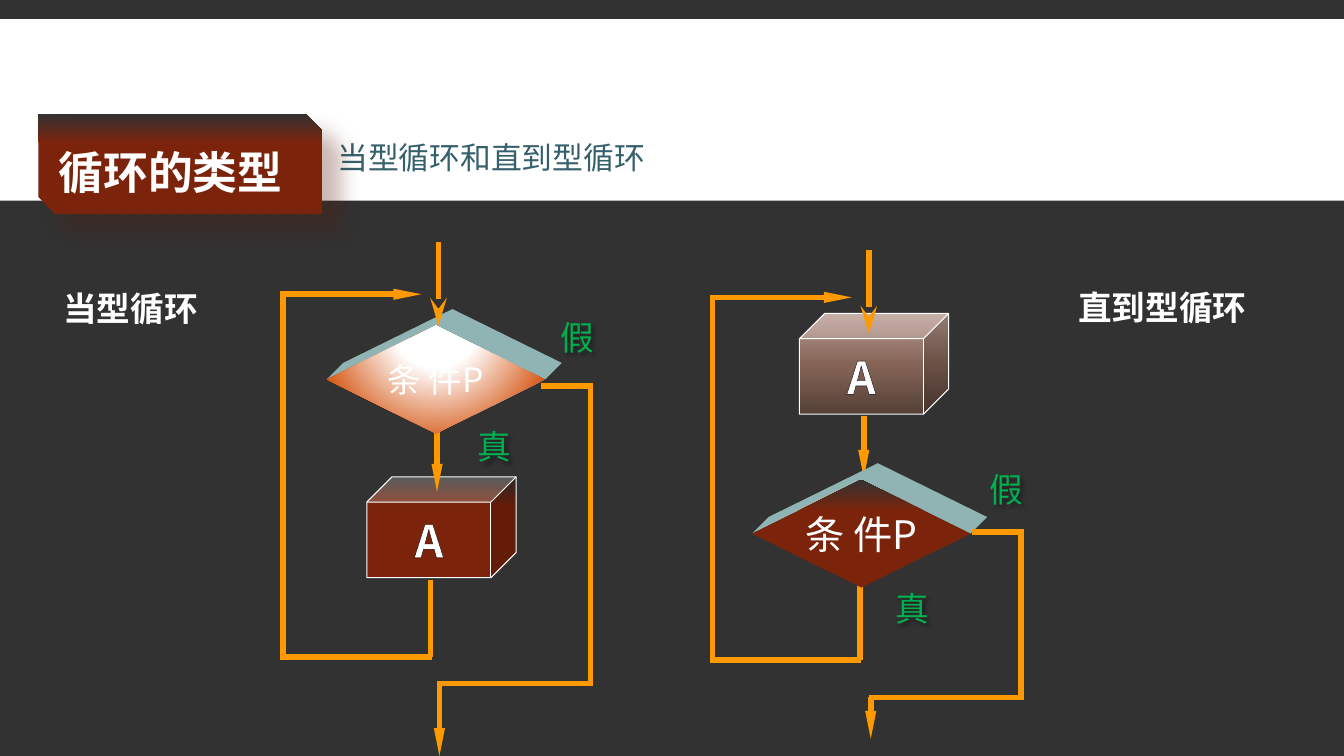
from lxml import etree
from pptx import Presentation
from pptx.dml.color import RGBColor
from pptx.enum.shapes import MSO_CONNECTOR, MSO_SHAPE
from pptx.enum.text import MSO_ANCHOR, MSO_AUTO_SIZE, PP_ALIGN
from pptx.oxml.ns import qn
from pptx.util import Pt

COLORS = {
    "dark": "323232", "white": "FFFFFF", "black": "000000", "teal": "36606C",
    "side": "90B4B4", "line": "FF9900", "green": "00B050", "rust": "7C240B",
    "orange": "D55816", "shade": "521808",
    "brown": "554037", "tan": "846356", "sand": "B89C91",
}
CJK = "Noto Sans CJK SC"
RUST = [(0, "rust"), (71, "rust"), (100, "dark")]
EARTH = [(0, "brown"), (48, "tan"), (100, "sand")]
GLOW = [(0, "white"), (35, "white"), (100, "orange")]


def rgb(name):
    return RGBColor.from_string(COLORS[name])


def child(parent, tag, **attrs):
    el = etree.SubElement(parent, qn(tag))
    for key, value in attrs.items():
        el.set(key, str(value))
    return el


def set_text(sp, text, size, color, font=CJK, bold=False, align=PP_ALIGN.LEFT):
    tf = sp.text_frame
    tf.text = text
    p = tf.paragraphs[0]
    p.alignment = align
    r = p.runs[0]
    r.font.size = Pt(size)
    r.font.bold = bold
    r.font.name = font
    r.font.color.rgb = rgb(color)
    child(r.font._element, "a:ea", typeface=CJK)
    return p


def add_shadow(sp, color, alpha, blur, dist):
    sp.shadow.inherit = False
    effects = sp.element.spPr.find(qn("a:effectLst"))
    outer = child(effects, "a:outerShdw", blurRad=Pt(blur), dist=Pt(dist),
                  dir=45 * 60000, algn="tl", rotWithShape=0)
    clr = child(outer, "a:srgbClr", val=COLORS[color])
    child(clr, "a:alpha", val=alpha * 1000)


def fill_gradient(sp, stops, radial=False):
    sp.fill.gradient()
    grad = sp.element.spPr.find(qn("a:gradFill"))
    for el in list(grad):
        grad.remove(el)
    stop_list = child(grad, "a:gsLst")
    for pos, color in stops:
        stop = child(stop_list, "a:gs", pos=pos * 1000)
        child(stop, "a:srgbClr", val=COLORS[color])
    if radial:
        way = child(grad, "a:path", path="circle")
        child(way, "a:fillToRect", l=50000, t=-80000, r=50000, b=180000)
    else:
        child(grad, "a:lin", ang=270 * 60000, scaled=0)


def add_block(s, kind, left, top, width, height):
    sp = s.shapes.add_shape(kind, Pt(left), Pt(top), Pt(width), Pt(height))
    sp.shadow.inherit = False
    sp.line.fill.background()
    sp.text_frame.word_wrap = False
    sp.text_frame.vertical_anchor = MSO_ANCHOR.MIDDLE
    return sp


def add_label(s, text, left, top, width, size, color, font=CJK, bold=False):
    sp = s.shapes.add_textbox(Pt(left), Pt(top), Pt(width), Pt(36.5))
    sp.text_frame.word_wrap = True
    sp.text_frame.auto_size = MSO_AUTO_SIZE.NONE
    return sp, set_text(sp, text, size, color, font, bold)


def add_branch(s, text, left, top):
    sp, _ = add_label(s, text, left, top, 48, 24, "green")
    add_shadow(sp, "black", 40, 3, 3)


def add_line(s, x1, y1, x2, y2, head=None, width="sm"):
    c = s.shapes.add_connector(MSO_CONNECTOR.STRAIGHT, Pt(x1), Pt(y1), Pt(x2), Pt(y2))
    c.line.color.rgb = rgb("line")
    c.line.width = Pt(4)
    if head:
        child(c.line._get_or_add_ln(), "a:tailEnd", type=head, w=width, len="lg")
    child(c.element.spPr, "a:effectLst")


def add_loop_back(s, x, top, exit_x, exit_top, bottom, tip):
    add_line(s, exit_x, exit_top, exit_x, bottom)
    add_line(s, exit_x + 1, bottom, x - 2, bottom)
    add_line(s, x, bottom - 2, x, top)
    add_line(s, x - 2, top, tip, top, "triangle")


def add_way_out(s, start, top, right, bottom, x, tip):
    add_line(s, start, top, right, top)
    add_line(s, right, top - 2, right, bottom + 1.5)
    add_line(s, right, bottom, x - 1.5, bottom)
    add_line(s, x, bottom, x, tip, "triangle")


def add_cube(s, left, top, stops):
    sp = add_block(s, MSO_SHAPE.CUBE, left, top, 106.6, 72)
    fill_gradient(sp, stops)
    sp.line.color.rgb = rgb("white")
    sp.line.width = Pt(0.75)
    p = set_text(sp, "A", 32, "white", bold=True, align=PP_ALIGN.CENTER)
    outline = etree.Element(qn("a:ln"), w=str(Pt(0.75)))
    child(child(outline, "a:solidFill"), "a:srgbClr", val=COLORS["black"])
    p.runs[0].font._element.insert(0, outline)


def add_condition(s, left, top, size, stops, radial=False):
    width, height, depth = 156.2, 77, 11.8
    mid_x, right, mid_y = left + width / 2, left + width, top + height / 2
    fb = s.shapes.build_freeform(Pt(left), Pt(mid_y))
    fb.add_line_segments([(Pt(x), Pt(y)) for x, y in (
        (left + depth, mid_y - depth), (mid_x + depth, top - depth),
        (right + depth, mid_y - depth), (right, mid_y), (mid_x, top))])
    side = fb.convert_to_shape()
    side.shadow.inherit = False
    side.fill.solid()
    side.fill.fore_color.rgb = rgb("side")
    side.line.fill.background()
    sp = add_block(s, MSO_SHAPE.DIAMOND, left, top, width, height)
    fill_gradient(sp, stops, radial)
    set_text(sp, "条 件P", size, "white", align=PP_ALIGN.CENTER)


def add_header(s):
    band = add_block(s, MSO_SHAPE.RECTANGLE, 0, 13.7, 960, 129.6)
    band.fill.solid()
    band.fill.fore_color.rgb = rgb("white")
    _, p = add_label(s, "当型循环和直到型循环", 234, 98.6, 324, 22, "teal", "Arial")
    p.line_spacing = 0.9
    box = (27.4, 81.4, 203, 71.3)
    tab = add_block(s, MSO_SHAPE.SNIP_2_DIAG_RECTANGLE, *box)
    fill_gradient(tab, RUST)
    add_shadow(tab, "shade", 30, 15, 18)
    title = s.shapes.title
    title.left, title.top, title.width, title.height = map(Pt, box)
    tf = title.text_frame
    tf.margin_left, tf.margin_right = Pt(14.4), Pt(0)
    tf.vertical_anchor = MSO_ANCHOR.MIDDLE
    tf.auto_size = MSO_AUTO_SIZE.NONE
    set_text(title, "循环的类型", 32, "white", "Calibri", True).line_spacing = 1.3
    title.element.getparent().append(title.element)


def add_while_loop(s):
    add_label(s, "当型循环", 38.2, 202.3, 131, 24, "white", "Arial", True)
    add_loop_back(s, 202.3, 210.2, 307.4, 414, 469.4, 301)
    add_cube(s, 262.1, 340.6, RUST)
    add_line(s, 312.2, 307.4, 312.2, 351.4, "triangle")
    add_condition(s, 233.3, 232.6, 24, GLOW, True)
    add_line(s, 313.2, 172.8, 313.2, 232.6, "stealth", "med")
    add_way_out(s, 386.6, 275.8, 421.9, 488.2, 313.9, 540)
    add_branch(s, "真", 334.1, 301)
    add_branch(s, "假", 393.1, 222.5)


def add_until_loop(s):
    add_label(s, "直到型循环", 763.2, 201.6, 138, 24, "white", "Arial", True)
    add_line(s, 617, 297.4, 617, 341.3, "triangle")
    add_cube(s, 571, 223.9, EARTH)
    add_loop_back(s, 509, 212.4, 614.2, 416.2, 471.6, 608.4)
    add_condition(s, 537.1, 342.7, 28, RUST)
    add_line(s, 620.6, 178.6, 620.6, 238.3, "stealth", "med")
    add_way_out(s, 694.1, 380.2, 729.4, 498.2, 622, 527.8)
    add_branch(s, "真", 632.2, 416.2)
    add_branch(s, "假", 699.8, 331.2)


def main():
    prs = Presentation()
    prs.slide_width, prs.slide_height = Pt(960), Pt(540)
    s = prs.slides.add_slide(prs.slide_layouts[5])
    s.background.fill.solid()
    s.background.fill.fore_color.rgb = rgb("dark")
    add_header(s)
    add_until_loop(s)
    add_while_loop(s)
    prs.save("out.pptx")


if __name__ == "__main__":
    main()
